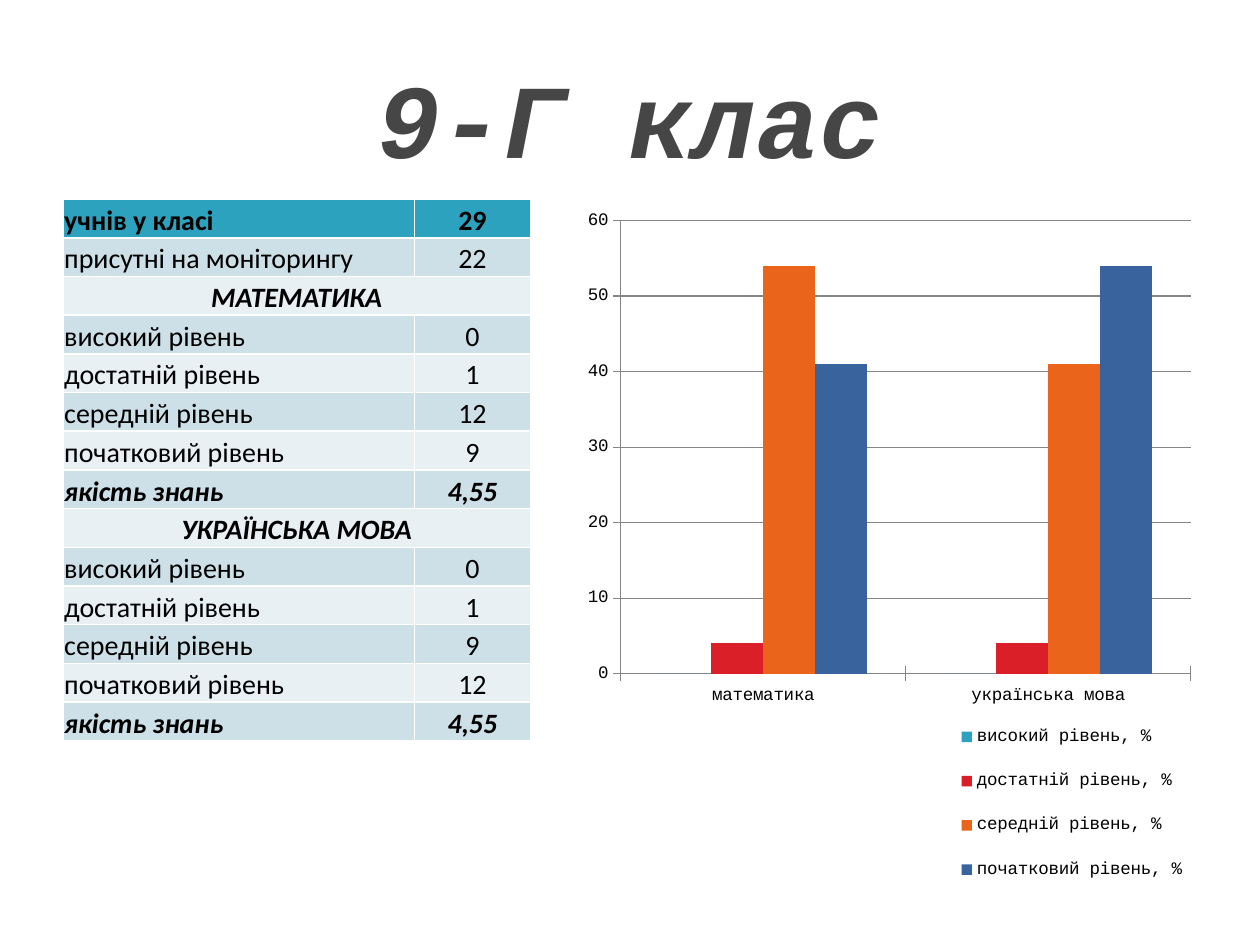
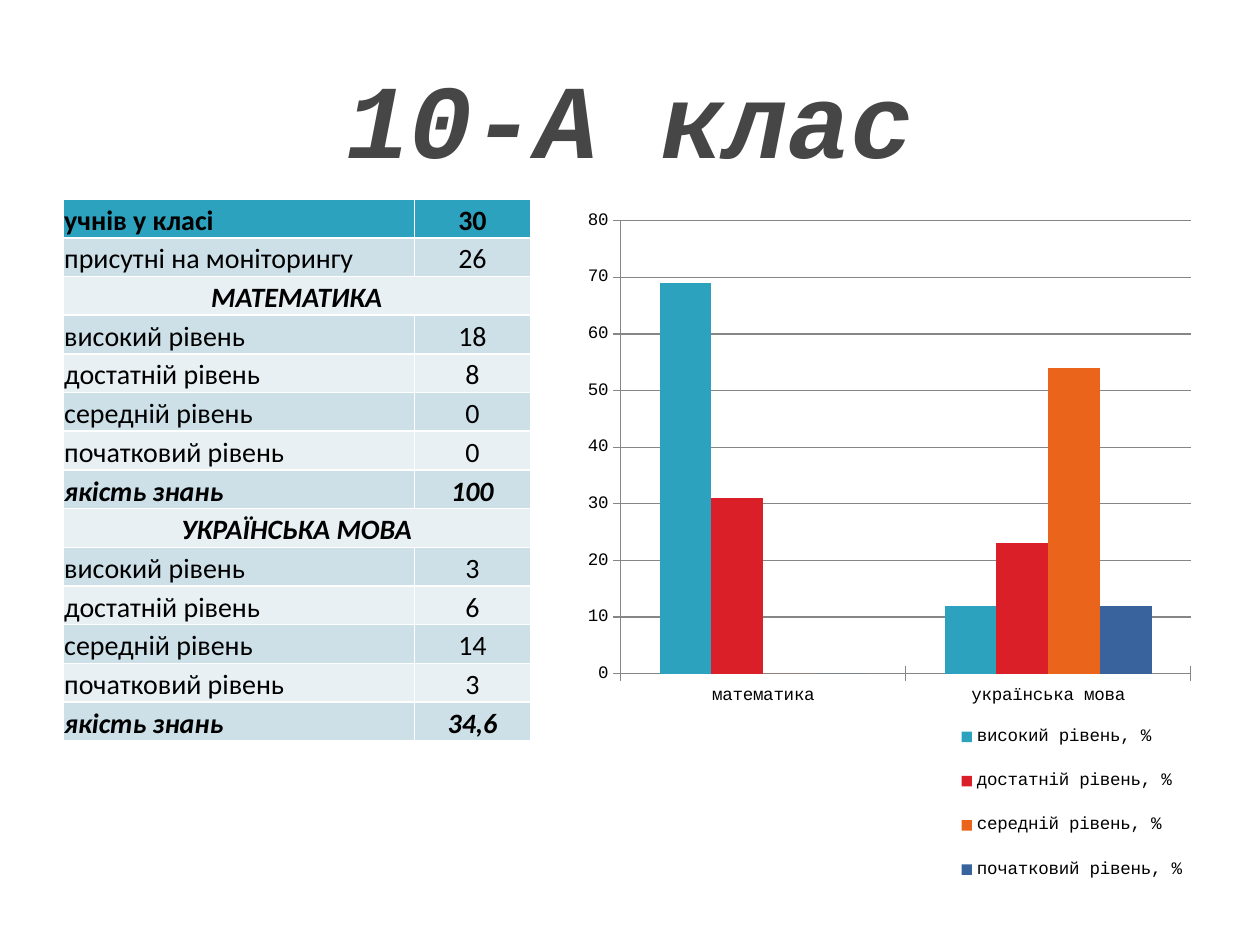
from dataclasses import dataclass

from lxml.etree import SubElement
from pptx import Presentation
from pptx.chart.data import CategoryChartData
from pptx.dml.color import RGBColor
from pptx.enum.chart import XL_CHART_TYPE, XL_LEGEND_POSITION, XL_TICK_MARK
from pptx.enum.text import MSO_ANCHOR, PP_ALIGN
from pptx.oxml.ns import qn
from pptx.util import Inches, Pt


@dataclass(frozen=True)
class Theme:
    ink: str = "000000"
    title: str = "464646"
    head: str = "2DA2BF"
    bands: tuple = ("E8F0F4", "CDE0E8")
    levels: tuple = ("2DA2BF", "DA1F28", "EB641B", "39639D")
    grid: str = "868686"
    body_font: str = "Calibri"
    mono_font: str = "Courier New"
    title_size: int = 60
    cell_size: int = 16
    chart_size: int = 10


@dataclass(frozen=True)
class Group:
    """One class: head counts, then per subject the level counts and quality."""
    name: str
    total: str
    present: str
    counts: tuple
    quality: tuple
    shares: tuple


THEME = Theme()
SUBJECTS = ("математика", "українська мова")
LEVELS = ("високий рівень", "достатній рівень", "середній рівень", "початковий рівень")
GROUPS = (
    Group("9-Г клас", "29", "22", ((0, 1, 12, 9), (0, 1, 9, 12)),
          ("4,55", "4,55"), ((0, 4, 54, 41), (0, 4, 41, 54))),
    Group("10-А клас", "30", "26", ((18, 8, 0, 0), (3, 6, 14, 3)),
          ("100", "34,6"), ((69, 31, 0, 0), (12, 23, 54, 12))),
)
TOP = 1.58


def rgb(code):
    return RGBColor.from_string(code)


def set_font(font, name, size, color, bold=False, italic=False):
    font.name, font.size = name, Pt(size)
    font.bold, font.italic = bold, italic
    font.color.rgb = rgb(color)


def add_title(slide, text):
    title = slide.shapes.title
    title.left, title.top = Inches(0.5), Inches(0.3)
    title.width, title.height = Inches(9), Inches(1.25)
    frame = title.text_frame
    frame.text = text
    frame.vertical_anchor = MSO_ANCHOR.MIDDLE
    line = frame.paragraphs[0]
    line.alignment = PP_ALIGN.CENTER
    set_font(line.font, THEME.mono_font, THEME.title_size, THEME.title, True, True)


def list_rows(group):
    """Return (label, value, bold, italic); a subject heading has value None."""
    rows = [("учнів у класі", group.total, True, False),
            ("присутні на моніторингу", group.present, False, False)]
    for subject, counts, quality in zip(SUBJECTS, group.counts, group.quality):
        rows.append((subject.upper(), None, True, True))
        rows += [(level, str(count), False, False) for level, count in zip(LEVELS, counts)]
        rows.append(("якість знань", quality, True, True))
    return rows


def fill_cell(cell, text, color, align, bold, italic):
    cell.fill.solid()
    cell.fill.fore_color.rgb = rgb(color)
    cell.vertical_anchor = MSO_ANCHOR.BOTTOM
    cell.margin_left = cell.margin_top = cell.margin_right = Inches(0.01)
    cell.margin_bottom = 0
    cell.text = text
    line = cell.text_frame.paragraphs[0]
    line.alignment = align
    set_font(line.font, THEME.body_font, THEME.cell_size, THEME.ink, bold, italic)


def add_scores(slide, group):
    rows = list_rows(group)
    table = slide.shapes.add_table(len(rows), 2, Inches(0.5), Inches(TOP),
                                   Inches(3.71), Inches(4.3)).table
    for column, width in zip(table.columns, (2.79, 0.92)):
        column.width = Inches(width)
    for i, (label, value, bold, italic) in enumerate(rows):
        color = THEME.bands[i % 2] if i else THEME.head
        name, score = table.cell(i, 0), table.cell(i, 1)
        if value is None:
            name.merge(score)
            fill_cell(name, label, color, PP_ALIGN.CENTER, bold, italic)
        else:
            fill_cell(name, label, color, PP_ALIGN.LEFT, bold, italic)
            fill_cell(score, value, color, PP_ALIGN.CENTER, bold, italic)


def place_part(part, index, box, inner=False):
    """Give a chart part a manual layout, in fractions of the chart."""
    for old in part.findall(qn("c:layout")):
        part.remove(old)
    layout = SubElement(part, qn("c:layout"))
    part.insert(index, layout)
    manual = SubElement(layout, qn("c:manualLayout"))
    items = [("layoutTarget", "inner")] if inner else []
    items += [("xMode", "edge"), ("yMode", "edge"), *zip("xywh", box)]
    for tag, value in items:
        SubElement(manual, qn(f"c:{tag}")).set("val", str(value))


def style_axis(axis):
    axis.major_tick_mark = XL_TICK_MARK.CROSS
    axis.minor_tick_mark = XL_TICK_MARK.NONE
    axis.format.line.color.rgb = rgb(THEME.grid)


def add_chart(slide, group):
    data = CategoryChartData()
    data.categories = SUBJECTS
    for level, shares in zip(LEVELS, zip(*group.shares)):
        data.add_series(f"{level}, %", shares)
    chart = slide.shapes.add_chart(XL_CHART_TYPE.COLUMN_CLUSTERED, Inches(4.53), Inches(TOP),
                                   Inches(4.97), Inches(5.71), data).chart
    set_font(chart.font, THEME.mono_font, THEME.chart_size, THEME.ink)
    chart.has_title = False
    plot = chart.plots[0]
    plot.vary_by_categories = False
    plot.gap_width, plot.overlap = 150, 0
    for series, color in zip(plot.series, THEME.levels):
        series.format.fill.solid()
        series.format.fill.fore_color.rgb = rgb(color)
    for axis in (chart.category_axis, chart.value_axis):
        style_axis(axis)
    chart.value_axis.has_major_gridlines = True
    chart.value_axis.major_gridlines.format.line.color.rgb = rgb(THEME.grid)
    chart.has_legend = True
    legend = chart.legend
    legend.position = XL_LEGEND_POSITION.RIGHT
    legend.include_in_layout = False
    place_part(chart._chartSpace.chart.plotArea, 0, (0.08, 0.03, 0.91, 0.63), inner=True)
    place_part(legend._element, 1, (0.61, 0.7, 0.38, 0.28))


def main():
    deck = Presentation()
    deck.slide_width, deck.slide_height = Inches(10), Inches(7.5)
    for group in GROUPS:
        slide = deck.slides.add_slide(deck.slide_layouts[5])
        add_title(slide, group.name)
        add_scores(slide, group)
        add_chart(slide, group)
    deck.save("out.pptx")


if __name__ == "__main__":
    main()
